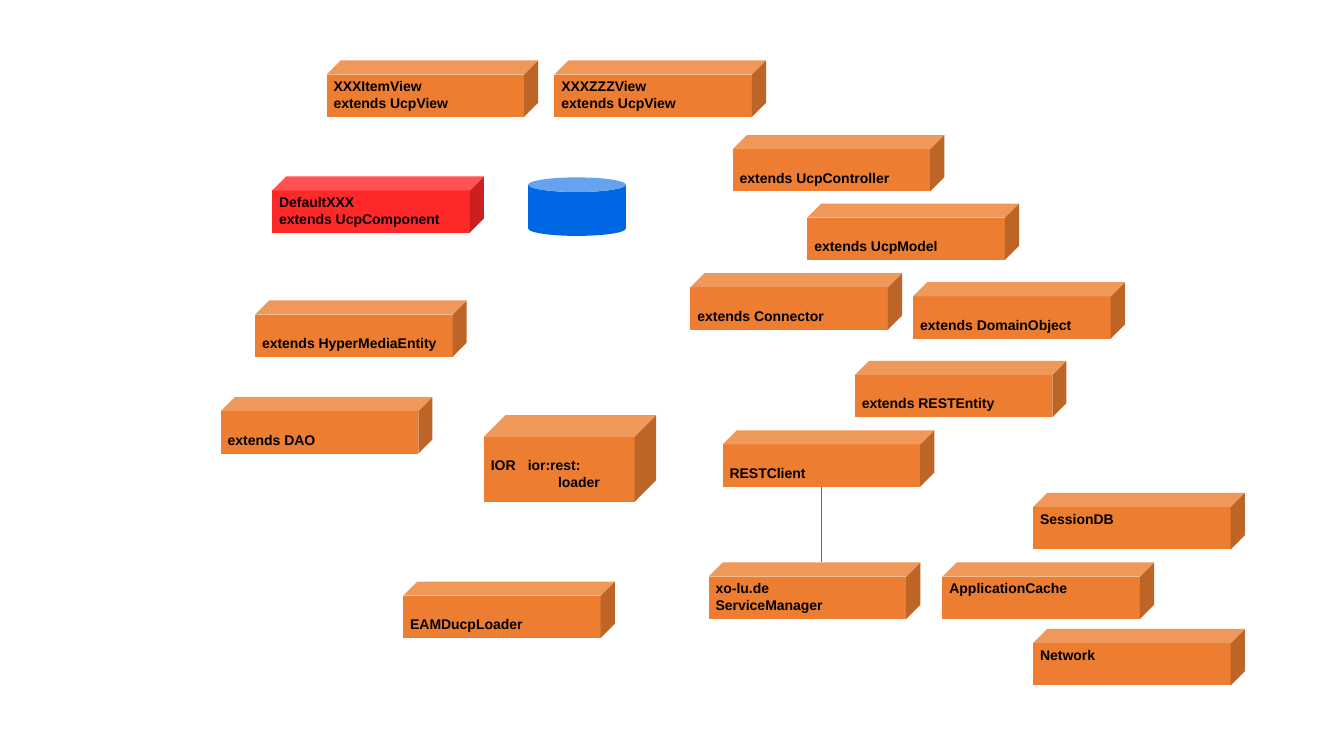
from lxml import etree
from pptx import Presentation
from pptx.dml.color import RGBColor
from pptx.enum.shapes import MSO_CONNECTOR, MSO_SHAPE
from pptx.enum.text import MSO_ANCHOR, PP_ALIGN
from pptx.oxml.ns import qn
from pptx.util import Pt

CUBE, CAN = MSO_SHAPE.CUBE, MSO_SHAPE.CAN
STRAIGHT = MSO_CONNECTOR.STRAIGHT
TOP, LEFT = MSO_ANCHOR.TOP, PP_ALIGN.LEFT

COLORS = {
    "component": "FF2929",
    "class": "ED7D31",
    "database": "0067E4",
    "link": "4472C4",
    "text": "000000",
}
CUBE_SIZE = (151.2, 40.3)
INSET = 2.2
SECOND_LINE_INSET = 14.2

NAMED_CLASSES = [
    ("XXXItemView\vextends UcpView", 233.3, 43.2),
    ("XXXZZZView\vextends UcpView", 396, 43.2),
    ("xo-lu.de\vServiceManager", 506.2, 401.8),
    ("ApplicationCache", 673.2, 401.8),
    ("SessionDB", 738, 352.1),
    ("Network", 738, 449.3),
]
UNNAMED_CLASSES = [
    ("extends UcpController", 523.4, 96.5),
    ("extends Connector", 493.2, 195.1),
    ("extends DAO", 157.7, 283.7),
    ("extends DomainObject", 652.3, 201.6),
    ("extends RESTEntity", 610.6, 257.8),
    ("extends HyperMediaEntity", 182.2, 214.6),
    ("extends UcpModel", 576.7, 145.4),
    ("RESTClient", 516.2, 307.4),
    ("EAMDucpLoader", 288, 415.4),
]


class Diagram:
    font = "Arial"
    font_size = 10

    def __init__(self, slide):
        self.slide = slide

    def solid(self, kind, color, left, top, width, height):
        shape = self.slide.shapes.add_shape(
            kind, Pt(left), Pt(top), Pt(width), Pt(height))
        shape.shadow.inherit = False
        shape.fill.solid()
        shape.fill.fore_color.rgb = RGBColor.from_string(COLORS[color])
        shape.line.fill.background()
        return shape

    def cube(self, text, left, top, size=CUBE_SIZE, color="class", inset=INSET):
        frame = self.solid(CUBE, color, left, top, *size).text_frame
        frame.margin_left = frame.margin_right = Pt(5)
        frame.margin_top, frame.margin_bottom = Pt(inset), Pt(INSET)
        frame.vertical_anchor = TOP
        frame.word_wrap = True
        frame.text = text
        for paragraph in frame.paragraphs:
            paragraph.alignment = LEFT
            for run in paragraph.runs:
                run.font.name = self.font
                run.font.size = Pt(self.font_size)
                run.font.bold = True
                run.font.color.rgb = RGBColor.from_string(COLORS["text"])
        return frame

    def tab_stop(self, paragraph, position):
        properties = paragraph._p.get_or_add_pPr()
        stops = etree.SubElement(properties, qn("a:tabLst"))
        etree.SubElement(stops, qn("a:tab"), pos=str(Pt(position)), algn="l")

    def indent(self, paragraph, distance):
        properties = paragraph._p.get_or_add_pPr()
        properties.set("marL", str(Pt(distance)))
        properties.set("indent", "0")

    def link(self, start, end):
        connector = self.slide.shapes.add_connector(
            STRAIGHT, *(Pt(value) for value in start + end))
        connector.line.color.rgb = RGBColor.from_string(COLORS["link"])
        connector.line.width = Pt(0.5)
        etree.SubElement(connector._element.spPr, qn("a:effectLst"))


def main():
    presentation = Presentation()
    presentation.slide_width, presentation.slide_height = Pt(960), Pt(540)
    slide = presentation.slides.add_slide(presentation.slide_layouts[6])
    diagram = Diagram(slide)

    diagram.cube("DefaultXXX\vextends UcpComponent", 194.4, 126, color="component")
    diagram.solid(CAN, "database", 377.3, 126.7, 69.8, 41.8)
    for text, left, top in NAMED_CLASSES:
        diagram.cube(text, left, top)
    for text, left, top in UNNAMED_CLASSES:
        diagram.cube(text, left, top, inset=SECOND_LINE_INSET)

    loader = diagram.cube("IOR\tior:rest:\nloader", 345.6, 296.6,
                          size=(123.1, 61.9), inset=SECOND_LINE_INSET)
    reference, target = loader.paragraphs
    diagram.tab_stop(reference, 26.4)
    diagram.indent(target, 48)

    diagram.link((586.8, 347.8), (586.8, 401.8))
    presentation.save("out.pptx")


if __name__ == "__main__":
    main()
